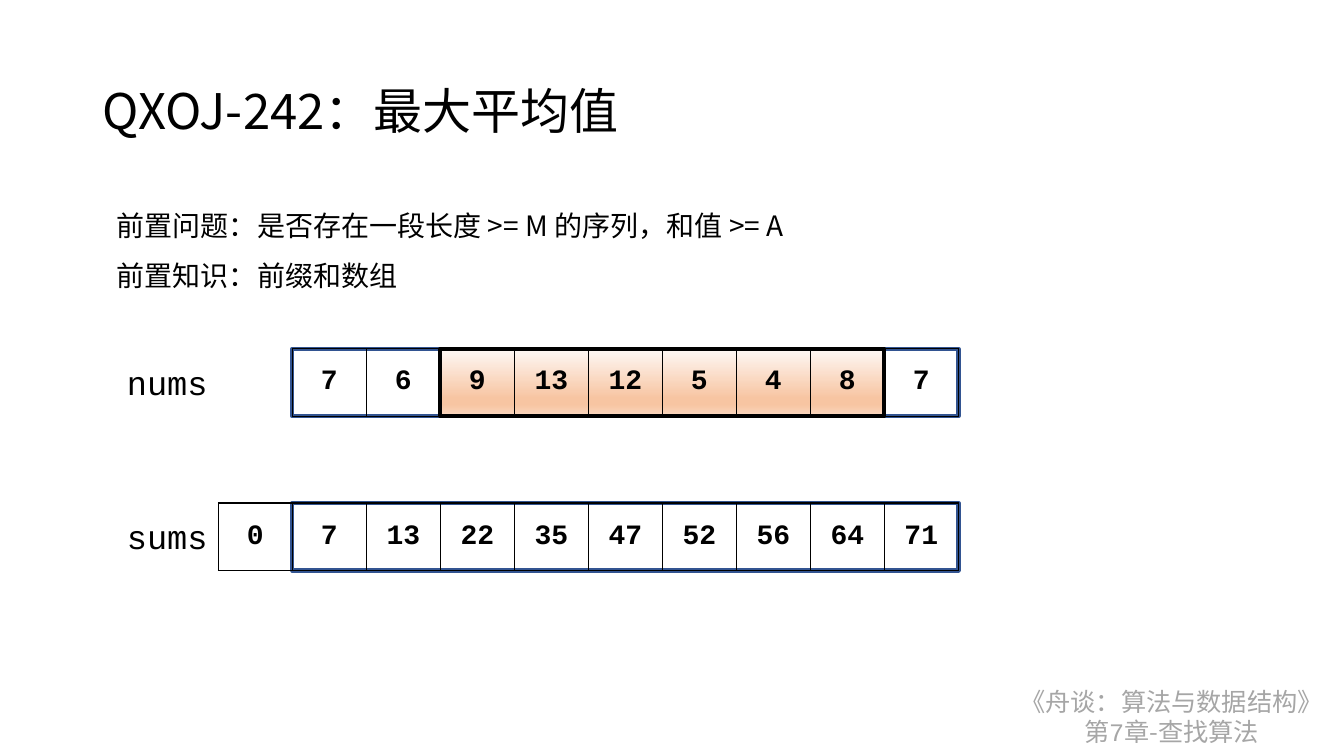
from lxml import etree
from pptx import Presentation
from pptx.dml.color import RGBColor
from pptx.enum import shapes, text
from pptx.oxml import ns
from pptx.util import Inches, Pt

TITLE = "QXOJ-242：最大平均值"
NOTES = ["前置问题：是否存在一段长度 >= M 的序列，和值 >= A", "前置知识：前缀和数组"]
NUMS = [7, 6, 9, 13, 12, 5, 4, 8, 7]
SUMS = [0, 7, 13, 22, 35, 47, 52, 56, 64, 71]
WINDOW_START, WINDOW_LENGTH = 2, 6
SANS, MONO = "Noto Sans CJK SC", "Courier New"
FOOTER = [
    [("《舟谈：算法与数据结构》", SANS)],
    [("第", SANS), ("7", MONO), ("章-查找算法", SANS)],
]
COLORS = {"ink": "000000", "frame": "325491", "footer": "A6A6A6"}
WINDOW_STOPS = [(0, "FEF8F5"), (74, "F7C5A2"), (83, "F7C5A2"), (100, "FAD8C1")]

CELL_WIDTH, CELL_HEIGHT = 0.734, 0.67
ARRAY_LEFT, LABEL_LEFT = 2.9, 1.16
NUMS_TOP, SUMS_TOP = 3.46, 4.99


def add_element(parent, tag, **attributes):
    return etree.SubElement(parent, ns.qn(tag), attributes)


def style_run(run, size, font, color, bold=None):
    run.font.size = Pt(size)
    run.font.name = font
    run.font.bold = bold
    run.font.color.rgb = RGBColor.from_string(COLORS[color])
    if font == SANS:
        add_element(run.font._element, "a:ea", typeface=font)


def add_text(slide, box, paragraphs, size, color="ink", align=None, spacing=None):
    shape = slide.shapes.add_textbox(*map(Inches, box))
    frame = shape.text_frame
    frame.word_wrap = False
    frame.auto_size = text.MSO_AUTO_SIZE.SHAPE_TO_FIT_TEXT
    for index, runs in enumerate(paragraphs):
        paragraph = frame.add_paragraph() if index else frame.paragraphs[0]
        paragraph.alignment = align
        paragraph.line_spacing = spacing
        for content, font in runs:
            run = paragraph.add_run()
            run.text = content
            style_run(run, size, font, color)


def add_frame(slide, first, count, top, color):
    shape = slide.shapes.add_shape(
        shapes.MSO_SHAPE.RECTANGLE,
        Inches(ARRAY_LEFT + first * CELL_WIDTH), Inches(top),
        Inches(count * CELL_WIDTH), Inches(CELL_HEIGHT))
    shape.shadow.inherit = False
    shape.fill.background()
    shape.line.color.rgb = RGBColor.from_string(COLORS[color])
    shape.line.width = Pt(3)
    return shape


def fill_window(shape):
    shape.fill.gradient()
    shape.fill.gradient_angle = 270
    stops = shape._element.spPr.find(ns.qn("a:gradFill")).find(ns.qn("a:gsLst"))
    for stop in list(stops):
        stops.remove(stop)
    for position, color in WINDOW_STOPS:
        stop = add_element(stops, "a:gs", pos=str(position * 1000))
        add_element(stop, "a:srgbClr", val=color)


def add_borders(cell):
    properties = cell._tc.get_or_add_tcPr()
    for index, side in enumerate(("a:lnL", "a:lnR", "a:lnT", "a:lnB")):
        line = etree.Element(ns.qn(side), w=str(Pt(1)))
        add_element(add_element(line, "a:solidFill"), "a:srgbClr", val=COLORS["ink"])
        properties.insert(index, line)


def add_array(slide, values, first, top):
    table = slide.shapes.add_table(
        1, len(values), Inches(ARRAY_LEFT + first * CELL_WIDTH), Inches(top),
        Inches(len(values) * CELL_WIDTH), Inches(CELL_HEIGHT)).table
    table.first_row = table.horz_banding = False
    for column, value in enumerate(values):
        table.columns[column].width = Inches(CELL_WIDTH)
        cell = table.cell(0, column)
        cell.text = str(value)
        cell.vertical_anchor = text.MSO_ANCHOR.MIDDLE
        cell.fill.background()
        paragraph = cell.text_frame.paragraphs[0]
        paragraph.alignment = text.PP_ALIGN.CENTER
        style_run(paragraph.runs[0], 20, MONO, "ink", True)
        add_borders(cell)


def add_label(slide, name, top):
    add_text(slide, (LABEL_LEFT, top + 0.08, 1.01, 0.5), [[(name, MONO)]], 24)


def main():
    presentation = Presentation()
    presentation.slide_width, presentation.slide_height = Inches(13.33), Inches(7.5)
    slide = presentation.slides.add_slide(presentation.slide_layouts[5])

    title = slide.shapes.title
    title.left, title.top = Inches(0.92), Inches(0.4)
    title.width, title.height = Inches(11.5), Inches(1.45)
    title.text_frame.text = TITLE
    title.text_frame.vertical_anchor = text.MSO_ANCHOR.MIDDLE
    heading = title.text_frame.paragraphs[0]
    heading.alignment = text.PP_ALIGN.LEFT
    heading.line_spacing = 0.9
    style_run(heading.runs[0], 35, SANS, "ink")

    add_text(slide, (9.97, 6.76, 3.3, 0.71), FOOTER, 18, "footer", text.PP_ALIGN.CENTER)
    add_text(slide, (1.06, 1.85, 7.09, 1.06), [[(note, SANS)] for note in NOTES], 20, spacing=1.5)

    add_frame(slide, 0, len(NUMS), NUMS_TOP, "frame")
    add_label(slide, "nums", NUMS_TOP)
    fill_window(add_frame(slide, WINDOW_START, WINDOW_LENGTH, NUMS_TOP, "ink"))
    add_array(slide, NUMS, 0, NUMS_TOP)

    add_frame(slide, 0, len(NUMS), SUMS_TOP, "frame")
    add_array(slide, SUMS, -1, SUMS_TOP)
    add_label(slide, "sums", SUMS_TOP)

    presentation.save("out.pptx")


if __name__ == "__main__":
    main()
